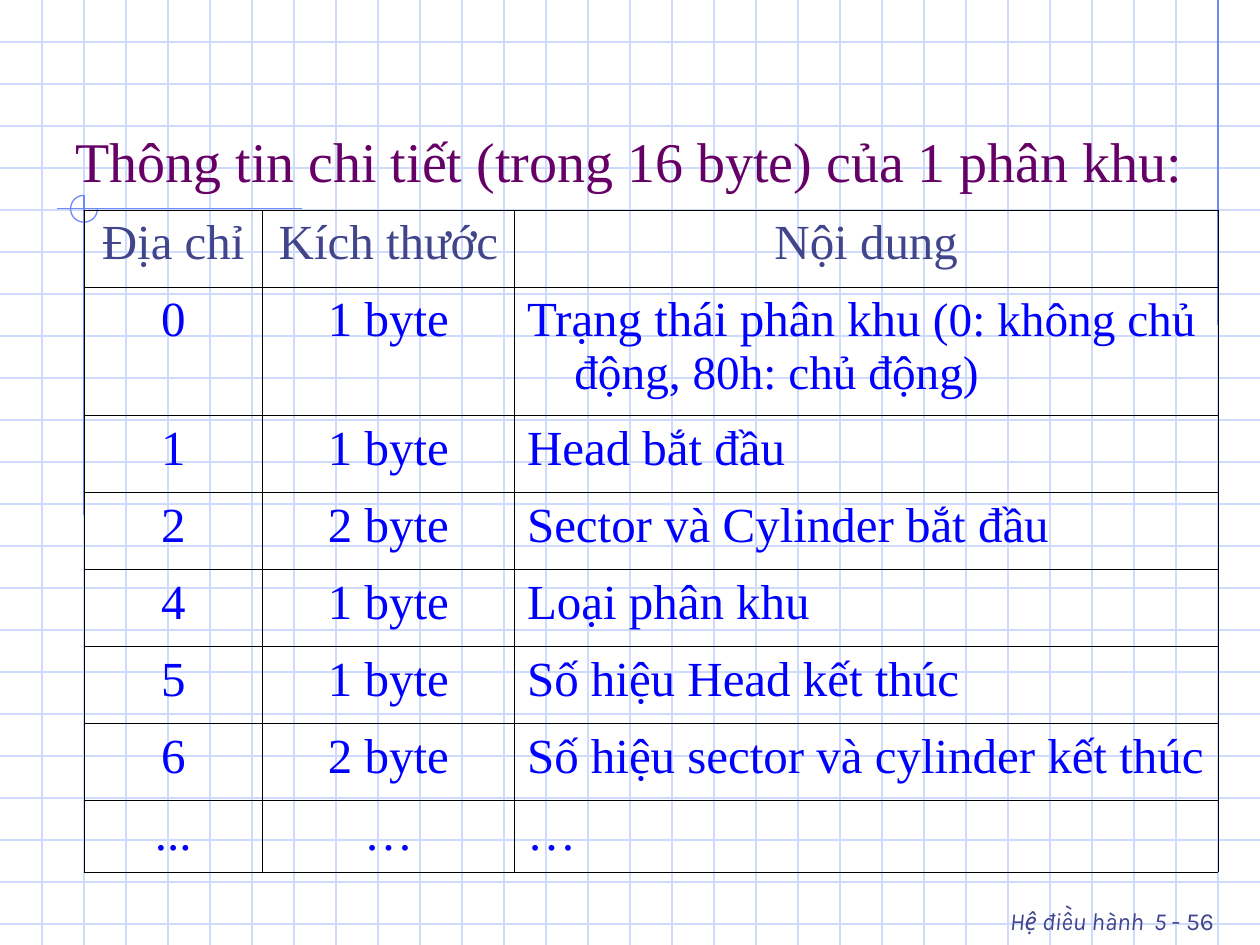
from lxml import etree
from pptx import Presentation
from pptx.dml.color import RGBColor
from pptx.enum.shapes import MSO_CONNECTOR, MSO_SHAPE
from pptx.enum.text import MSO_ANCHOR, PP_ALIGN
from pptx.oxml.ns import qn
from pptx.util import Pt

LEFT, CENTER, RIGHT, JUSTIFY = PP_ALIGN.LEFT, PP_ALIGN.CENTER, PP_ALIGN.RIGHT, PP_ALIGN.JUSTIFY
TOP, BOTTOM = MSO_ANCHOR.TOP, MSO_ANCHOR.BOTTOM
STRAIGHT, ARC = MSO_CONNECTOR.STRAIGHT, MSO_SHAPE.ARC

WIDTH, HEIGHT, GRID_STEP = 720, 540, 24
SERIF, SANS = "Times New Roman", "Karla"
GRID, ACCENT, NAVY, PURPLE, BLUE, BLACK = (
    "CFDBFD", "6F89F7", "40458C", "660066", "0000FF", "000000")

COLUMN_WIDTHS = [102, 144, 402]
ROW_HEIGHTS = [44, 73.4, 44, 44, 44, 44, 44, 41]
HEADINGS = ["Địa chỉ", "Kích thước", "Nội dung"]
FIELDS = [
    ("0", "1 byte", "Trạng thái phân khu ", "(0: không chủ động, 80h: chủ động)"),
    ("1", "1 byte", "Head bắt đầu"),
    ("2", "2 byte", "Sector và Cylinder bắt đầu"),
    ("4", "1 byte", "Loại phân khu"),
    ("5", "1 byte", "Số hiệu Head kết thúc"),
    ("6", "2 byte", "Số hiệu sector và cylinder kết thúc"),
    ("...", "…", "…"),
]


def rgb(code):
    return RGBColor.from_string(code)


class SlideBuilder:
    """Holds the current slide and the style its elements share."""

    line_width = 0.75
    border_width = 0.45
    hanging_indent = 27

    def __init__(self, slide):
        self.slide = slide
        slide.background.fill.solid()
        slide.background.fill.fore_color.rgb = rgb("FFFFFF")

    def stroke(self, shape, color):
        shape.line.color.rgb = rgb(color)
        shape.line.width = Pt(self.line_width)

    def line(self, x1, y1, x2, y2, color):
        connector = self.slide.shapes.add_connector(STRAIGHT, Pt(x1), Pt(y1), Pt(x2), Pt(y2))
        self.stroke(connector, color)
        etree.SubElement(connector._element.spPr, qn("a:effectLst"))

    def open_circle(self, center_x, center_y, radius, color):
        """Draw three quarters of a circle, open at the upper right."""
        arc = self.slide.shapes.add_shape(
            ARC, Pt(center_x - radius), Pt(center_y - radius), Pt(2 * radius), Pt(2 * radius))
        arc.adjustments[0], arc.adjustments[1] = 0, 162
        arc.shadow.inherit = False
        arc.fill.background()
        self.stroke(arc, color)

    def run(self, paragraph, text, font, size, color, italic=False):
        run = paragraph.add_run()
        run.text = text
        run.font.name = font
        run.font.size = Pt(size)
        run.font.italic = italic
        run.font.color.rgb = rgb(color)

    def text(self, left, top, width, height, runs, align=LEFT, anchor=TOP):
        """Add a one-paragraph box; each run is (text, font, size, color[, italic])."""
        frame = self.slide.shapes.add_textbox(Pt(left), Pt(top), Pt(width), Pt(height)).text_frame
        frame.word_wrap = True
        frame.vertical_anchor = anchor
        paragraph = frame.paragraphs[0]
        paragraph.alignment = align
        for run in runs:
            self.run(paragraph, *run)

    def table(self, left, top, widths, heights):
        table = self.slide.shapes.add_table(
            len(heights), len(widths), Pt(left), Pt(top), Pt(sum(widths)), Pt(sum(heights))).table
        table.first_row = table.horz_banding = False
        for column, width in zip(table.columns, widths):
            column.width = Pt(width)
        for row, height in zip(table.rows, heights):
            row.height = Pt(height)
        return table

    def cell(self, cell, runs, align):
        properties = cell._tc.get_or_add_tcPr()
        for side in ("a:lnL", "a:lnR", "a:lnT", "a:lnB"):
            border = etree.SubElement(properties, qn(side), w=str(Pt(self.border_width)))
            fill = etree.SubElement(border, qn("a:solidFill"))
            etree.SubElement(fill, qn("a:srgbClr"), val=BLACK)
        cell.fill.background()
        paragraph = cell.text_frame.paragraphs[0]
        paragraph.alignment = align
        indent = paragraph._p.get_or_add_pPr()
        indent.set("marL", str(Pt(self.hanging_indent)))
        indent.set("indent", str(Pt(-self.hanging_indent)))
        for run in runs:
            self.run(paragraph, *run)


def main():
    presentation = Presentation()
    presentation.slide_width, presentation.slide_height = Pt(WIDTH), Pt(HEIGHT)
    builder = SlideBuilder(presentation.slides.add_slide(presentation.slide_layouts[6]))

    for y in range(GRID_STEP, HEIGHT, GRID_STEP):
        builder.line(0, y, WIDTH, y, GRID)
    for x in range(GRID_STEP, WIDTH, GRID_STEP):
        builder.line(x, 0, x, HEIGHT, GRID)

    builder.line(696, 0, 696, 186, ACCENT)
    builder.line(172.8, 119.3, 32.4, 119.3, ACCENT)
    builder.line(48, 111.6, 48, 294.5, ACCENT)
    builder.open_circle(48, 119.3, 7.7, ACCENT)

    builder.text(492, 504, 208.8, 36, [
        ("Hệ điều hành", SANS, 14, NAVY, True),
        (" ", SANS, 24, NAVY),
        ("5 ", SANS, 14, NAVY, True),
        ("- 56", SANS, 14, NAVY),
    ], align=RIGHT)
    builder.text(36, 24, 660, 90, [
        ("Thông tin chi tiết (trong 16 byte) của 1 phân khu:", SERIF, 32, PURPLE),
    ], anchor=BOTTOM)

    partition_entry = builder.table(48, 120, COLUMN_WIDTHS, ROW_HEIGHTS)
    for column, heading in enumerate(HEADINGS):
        builder.cell(partition_entry.cell(0, column), [(heading, SERIF, 28, NAVY)], CENTER)
    for row, (address, size, content, *detail) in enumerate(FIELDS, start=1):
        for column, value in enumerate((address, size)):
            builder.cell(partition_entry.cell(row, column), [(value, SERIF, 28, BLUE)], CENTER)
        content_runs = [(content, SERIF, 28, BLUE)]
        content_runs += [(remark, SERIF, 27, BLUE) for remark in detail]
        builder.cell(partition_entry.cell(row, 2), content_runs, LEFT if detail else JUSTIFY)

    presentation.save("out.pptx")


if __name__ == "__main__":
    main()
